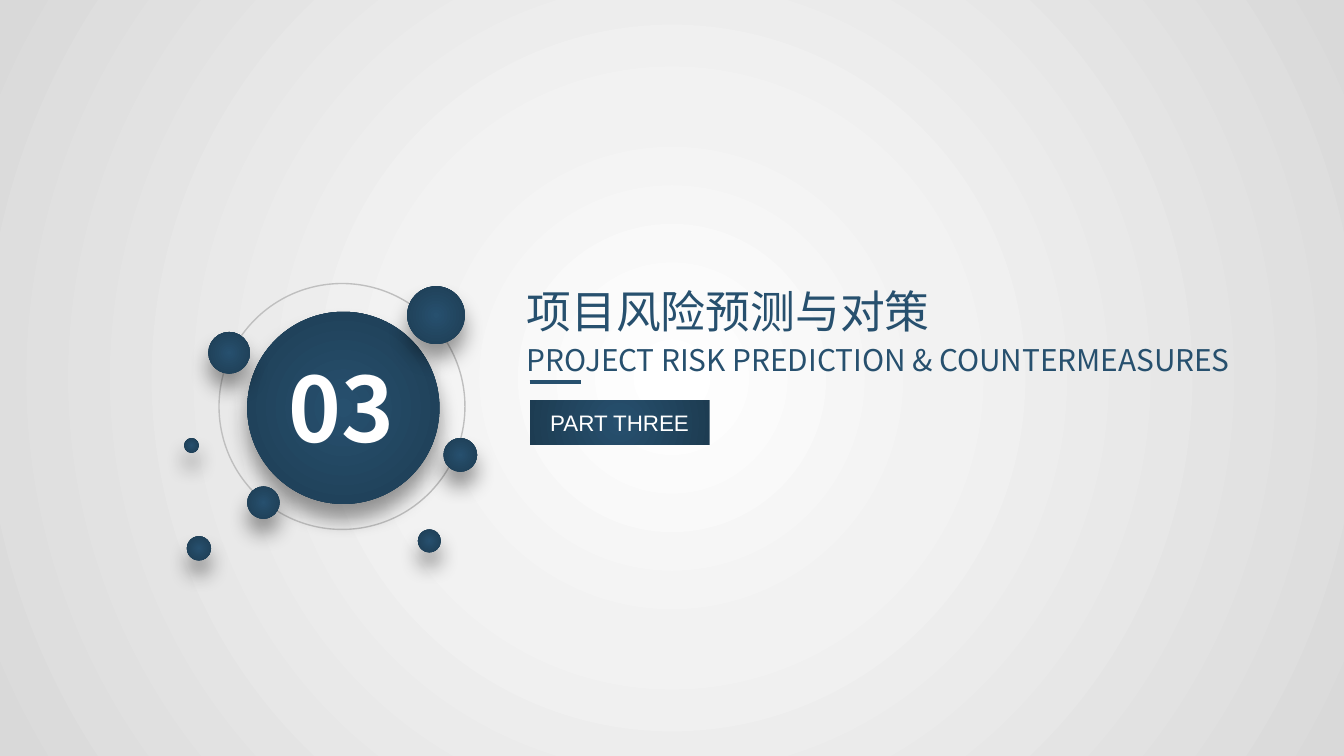
from dataclasses import dataclass
from typing import Any, NamedTuple

from lxml.etree import SubElement
from pptx import Presentation
from pptx.dml.color import RGBColor
from pptx.enum.shapes import MSO_CONNECTOR, MSO_SHAPE
from pptx.enum.text import MSO_ANCHOR, MSO_AUTO_SIZE, PP_ALIGN
from pptx.oxml.ns import qn
from pptx.util import Inches, Pt


@dataclass(frozen=True)
class Theme:
    navy: str = "27506E"
    navy_dark: str = "1D3C52"
    white: str = "FFFFFF"
    ring: str = "BFBFBF"
    shadow: str = "000000"
    heading_font: str = "Noto Sans CJK SC"
    label_font: str = "Arial"
    number_size: int = 48
    title_size: int = 24
    subtitle_size: int = 16
    label_size: int = 12
    ring_width: float = 0.75
    rule_width: float = 2.25


class Area(NamedTuple):
    column: float
    row: float
    columns: float
    rows: float


class Disc(NamedTuple):
    column: float
    row: float
    diameter: float

    @property
    def area(self) -> Area:
        return Area(self.column, self.row, self.diameter, self.diameter)


class Caption(NamedTuple):
    text: str
    area: Area
    size: int
    color: str
    bold: bool = False
    alignment: Any = PP_ALIGN.LEFT


THEME = Theme()
WIDTH = Inches(10)
HEIGHT = WIDTH * 9 // 16
COLUMNS = 100
CELL = WIDTH / COLUMNS

BACKGROUND_STOPS = {0: "FFFFFF", 35: "F2F2F2", 100: "D9D9D9"}
NAVY_STOPS = {0: THEME.navy, 100: THEME.navy_dark}

RING = Disc(16.3, 21.1, 18.3)
HUB = Disc(18.4, 23.2, 14.3)
SATELLITES = (
    Disc(30.3, 21.3, 4.3),
    Disc(15.5, 24.7, 3.1),
    Disc(13.9, 39.9, 1.8),
    Disc(18.4, 36.2, 2.4),
    Disc(33, 32.6, 2.5),
    Disc(31.1, 39.4, 1.7),
    Disc(13.7, 32.6, 1.1),
)
CAPTIONS = (
    Caption("03", Area(20.3, 25.8, 10.2, 9.1), THEME.number_size, THEME.white, True, PP_ALIGN.CENTER),
    Caption("项目风险预测与对策", Area(38.2, 20.6, 32.3, 5), THEME.title_size, THEME.navy),
    Caption("PROJECT RISK PREDICTION & COUNTERMEASURES", Area(38.2, 24.9, 57.3, 3.7),
            THEME.subtitle_size, THEME.navy),
)
RULE = Area(39.4, 28.4, 3.8, 0)
LABEL = Area(39.4, 29.8, 13.4, 3.3)


def place(area: Area) -> list[int]:
    return [round(value * CELL) for value in area]


def apply_format(target: Any, values: dict[str, Any]) -> None:
    for name, value in values.items():
        setattr(target, name, value)


def add_color(parent: Any, color: str) -> Any:
    return SubElement(parent, qn("a:srgbClr"), val=color)


def set_radial_fill(fill: Any, element: Any, stops: dict[int, str]) -> None:
    fill.gradient()
    gradient = element.xpath(".//a:gradFill")[0]
    gradient.clear()
    gradient.set("rotWithShape", "1")
    stop_list = SubElement(gradient, qn("a:gsLst"))
    for position, color in stops.items():
        add_color(SubElement(stop_list, qn("a:gs"), pos=str(position * 1000)), color)
    circle = SubElement(gradient, qn("a:path"), path="circle")
    SubElement(circle, qn("a:fillToRect"), {side: "50000" for side in "ltrb"})


def add_soft_shadow(shape: Any) -> None:
    effects = shape.element.spPr.find(qn("a:effectLst"))
    shadow = SubElement(effects, qn("a:outerShdw"), blurRad=str(Pt(11)), dist=str(Pt(8)),
                        dir=str(90 * 60000), algn="t", rotWithShape="0")
    SubElement(add_color(shadow, THEME.shadow), qn("a:alpha"), val="40000")


def add_plain_shape(slide: Any, kind: Any, area: Area) -> Any:
    shape = slide.shapes.add_shape(kind, *place(area))
    shape.shadow.inherit = False
    return shape


def add_navy_shape(slide: Any, kind: Any, area: Area) -> Any:
    shape = add_plain_shape(slide, kind, area)
    set_radial_fill(shape.fill, shape.element.spPr, NAVY_STOPS)
    shape.line.fill.background()
    return shape


def add_disc(slide: Any, disc: Disc) -> None:
    add_soft_shadow(add_navy_shape(slide, MSO_SHAPE.OVAL, disc.area))


def add_ring(slide: Any, disc: Disc) -> None:
    shape = add_plain_shape(slide, MSO_SHAPE.OVAL, disc.area)
    shape.fill.background()
    shape.line.color.rgb = RGBColor.from_string(THEME.ring)
    shape.line.width = Pt(THEME.ring_width)


def write(shape: Any, text: str, font: str, size: int, color: str, bold: bool, alignment: Any) -> None:
    paragraph = shape.text_frame.paragraphs[0]
    paragraph.alignment = alignment
    run = paragraph.add_run()
    run.text = text
    apply_format(run.font, {"name": font, "size": Pt(size), "bold": bold})
    run.font.color.rgb = RGBColor.from_string(color)
    SubElement(run.font._element, qn("a:ea"), typeface=font)


def add_caption(slide: Any, caption: Caption) -> None:
    box = slide.shapes.add_textbox(*place(caption.area))
    apply_format(box.text_frame, {"word_wrap": False, "auto_size": MSO_AUTO_SIZE.SHAPE_TO_FIT_TEXT})
    write(box, caption.text, THEME.heading_font, caption.size, caption.color,
          caption.bold, caption.alignment)


def add_rule(slide: Any, area: Area) -> None:
    left, top, width, height = place(area)
    rule = slide.shapes.add_connector(MSO_CONNECTOR.STRAIGHT, left, top, left + width, top + height)
    rule.line.color.rgb = RGBColor.from_string(THEME.navy)
    rule.line.width = Pt(THEME.rule_width)
    SubElement(rule.element.spPr, qn("a:effectLst"))


def add_label(slide: Any, text: str, area: Area) -> None:
    shape = add_navy_shape(slide, MSO_SHAPE.RECTANGLE, area)
    apply_format(shape.text_frame, {"word_wrap": True, "vertical_anchor": MSO_ANCHOR.MIDDLE})
    write(shape, text, THEME.label_font, THEME.label_size, THEME.white, False, PP_ALIGN.CENTER)


def main() -> None:
    presentation = Presentation()
    apply_format(presentation, {"slide_width": WIDTH, "slide_height": HEIGHT})
    slide = presentation.slides.add_slide(presentation.slide_layouts[6])
    set_radial_fill(slide.background.fill, slide.element, BACKGROUND_STOPS)
    add_ring(slide, RING)
    add_disc(slide, HUB)
    for caption in CAPTIONS:
        add_caption(slide, caption)
    add_rule(slide, RULE)
    add_label(slide, "PART THREE", LABEL)
    for satellite in SATELLITES:
        add_disc(slide, satellite)
    presentation.save("out.pptx")


if __name__ == "__main__":
    main()
